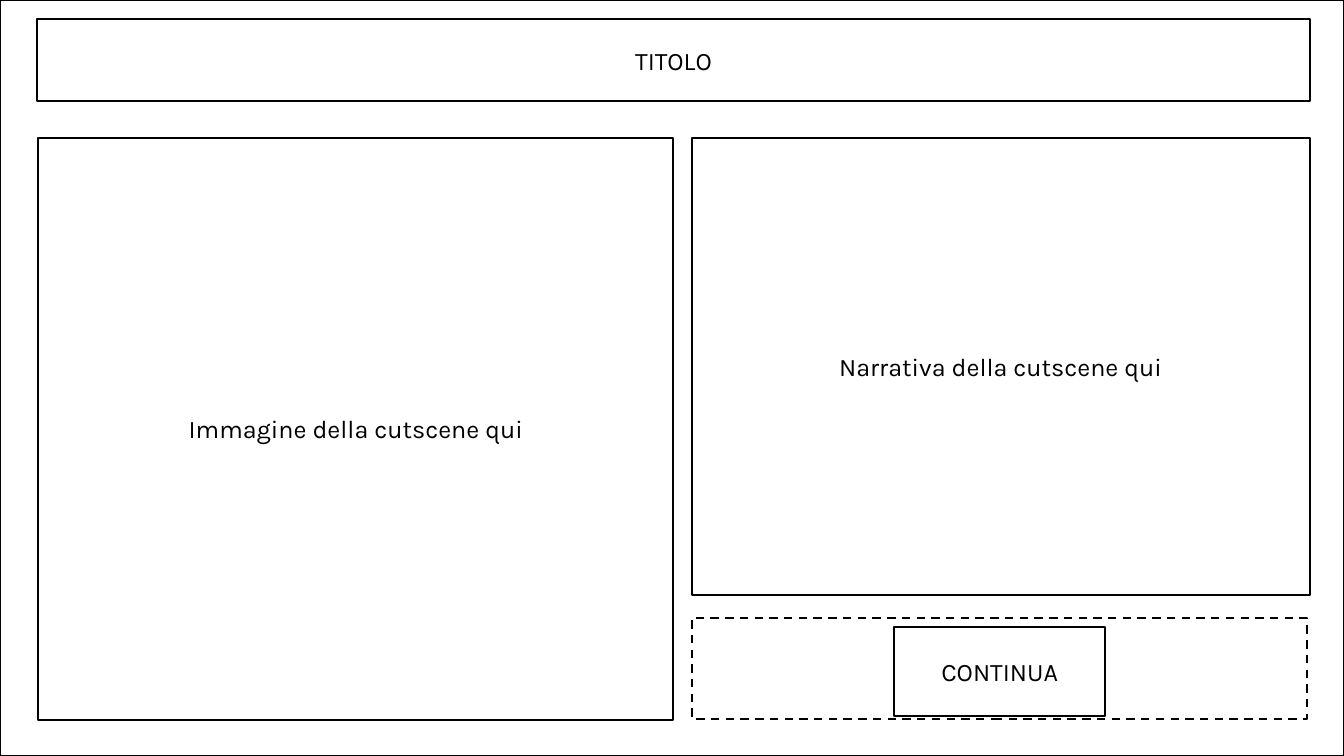
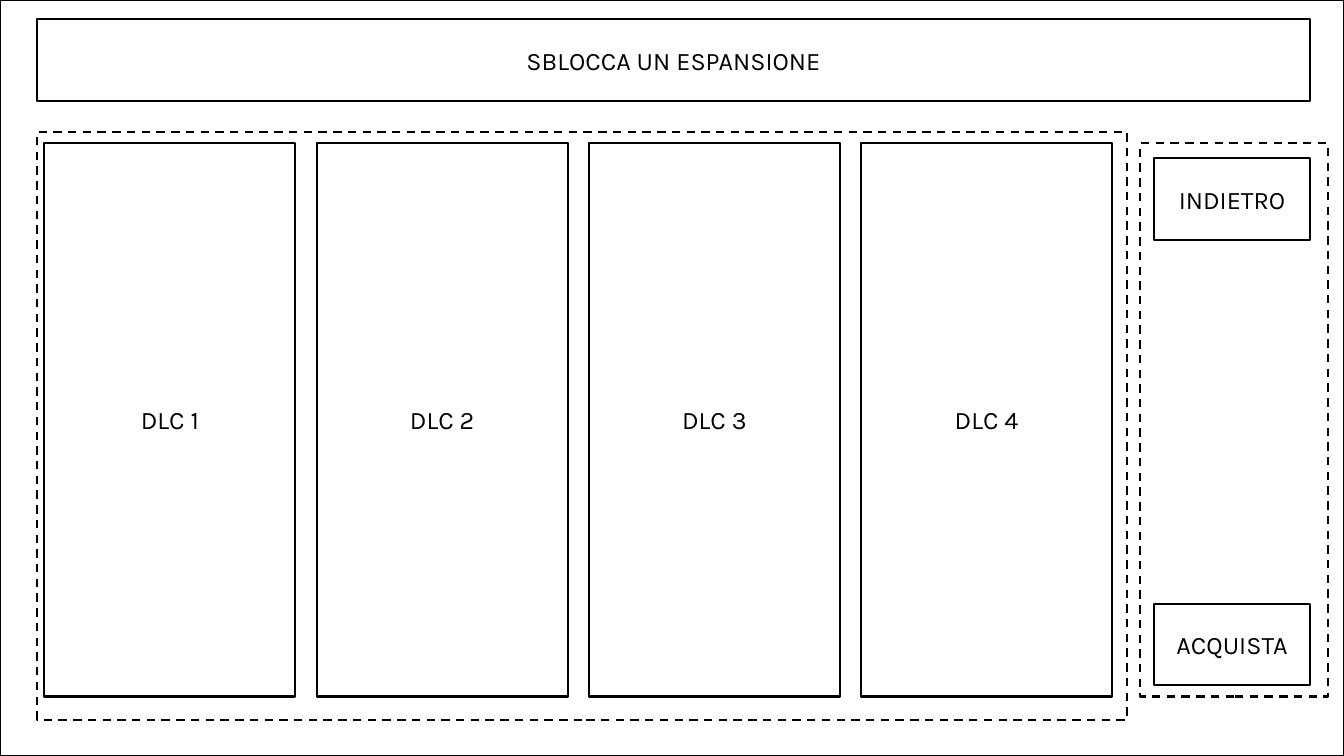
from pptx import Presentation
from pptx.dml.color import RGBColor
from pptx.enum.dml import MSO_LINE
from pptx.enum.shapes import MSO_SHAPE
from pptx.enum.text import MSO_ANCHOR, PP_ALIGN
from pptx.util import Inches, Pt

RECTANGLE = MSO_SHAPE.RECTANGLE
DASH = MSO_LINE.DASH
MIDDLE = MSO_ANCHOR.MIDDLE
CENTER = PP_ALIGN.CENTER

WHITE = RGBColor(0xFF, 0xFF, 0xFF)
BLACK = RGBColor(0x00, 0x00, 0x00)
FONT = "Karla"

SLIDE_WIDTH, SLIDE_HEIGHT = 13.33, 7.5
FRAME = (0, 0, SLIDE_WIDTH, SLIDE_HEIGHT)
TITLE_BAND = (0.37, 0.19, 12.62, 0.81)

CARD_LEFT, CARD_TOP, CARD_WIDTH, CARD_HEIGHT = 0.44, 1.42, 2.49, 5.49
CARD_PITCH = 2.7
CARDS = ["DLC 1", "DLC 2", "DLC 3", "DLC 4"]

SCREENS = [
    {
        "title": "TITOLO",
        "groups": [(6.86, 6.13, 6.1, 1)],
        "boxes": [
            ("Immagine della cutscene qui", (0.38, 1.37, 6.3, 5.77)),
            ("Narrativa della cutscene qui", (6.86, 1.37, 6.13, 4.53)),
            ("CONTINUA", (8.87, 6.22, 2.09, 0.88)),
        ],
    },
    {
        "title": "SBLOCCA UN ESPANSIONE",
        "groups": [
            (0.37, 1.31, 10.81, 5.83),
            (11.31, CARD_TOP, 1.86, CARD_HEIGHT),
        ],
        "boxes": [
            (label, (CARD_LEFT + index * CARD_PITCH, CARD_TOP, CARD_WIDTH, CARD_HEIGHT))
            for index, label in enumerate(CARDS)
        ] + [
            ("INDIETRO", (11.45, 1.57, 1.54, 0.81)),
            ("ACQUISTA", (11.45, 5.99, 1.54, 0.81)),
        ],
    },
]


def add_box(slide, text, *, area, dashed=False):
    shape = slide.shapes.add_shape(RECTANGLE, *(Inches(length) for length in area))
    shape.shadow.inherit = False
    shape.fill.solid()
    shape.fill.fore_color.rgb = WHITE
    shape.line.color.rgb = BLACK
    shape.line.width = Pt(1.5)
    if dashed:
        shape.line.dash_style = DASH
    if text:
        shape.text_frame.word_wrap = True
        shape.text_frame.vertical_anchor = MIDDLE
        paragraph = shape.text_frame.paragraphs[0]
        paragraph.alignment = CENTER
        run = paragraph.add_run()
        run.text = text
        run.font.name = FONT
        run.font.size = Pt(18)
        run.font.color.rgb = BLACK


def add_screen(presentation, screen):
    slide = presentation.slides.add_slide(presentation.slide_layouts[6])
    add_box(slide, "", area=FRAME)
    for area in screen["groups"]:
        add_box(slide, "", area=area, dashed=True)
    add_box(slide, screen["title"], area=TITLE_BAND)
    for text, area in screen["boxes"]:
        add_box(slide, text, area=area)


def main():
    presentation = Presentation()
    presentation.slide_width = Inches(SLIDE_WIDTH)
    presentation.slide_height = Inches(SLIDE_HEIGHT)
    for screen in SCREENS:
        add_screen(presentation, screen)
    presentation.save("out.pptx")


if __name__ == "__main__":
    main()
